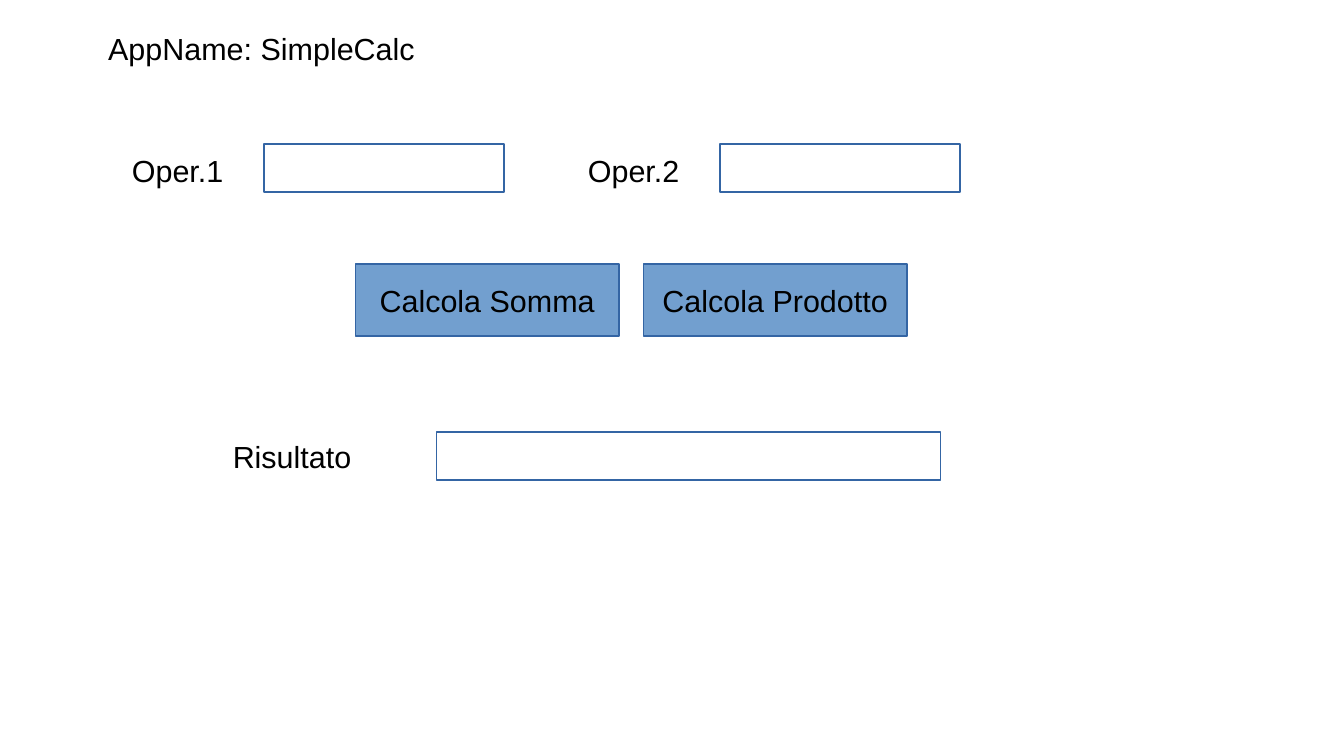
from pptx import Presentation
from pptx import util as u
from pptx.dml.color import RGBColor
from pptx.enum import shapes, text

# Content: lengths in cm
TITLE = "AppName: SimpleCalc"
OPERANDS = ["Oper.1", "Oper.2"]
BUTTONS = ["Calcola Somma", "Calcola Prodotto"]
RESULT = "Risultato"

OPERAND_LEFT, OPERAND_STEP, OPERAND_TOP = 2.5, 9.5, 3
BUTTON_LEFT, BUTTON_STEP, BUTTON_TOP = 7.4, 6, 5.5
RESULT_TOP = 9
FIELD_HEIGHT = 1
BLACK, WHITE, BLUE, OUTLINE = "000000", "FFFFFF", "729FCF", "3465A4"


def color(value):
    return RGBColor.from_string(value)


def write(s, words, size=18, font="Arial", ink=BLACK, wrap=True,
          align=text.PP_ALIGN.LEFT, anchor=text.MSO_ANCHOR.TOP):
    tf = s.text_frame
    tf.word_wrap = wrap
    tf.vertical_anchor = anchor
    tf.auto_size = text.MSO_AUTO_SIZE.NONE
    p = tf.paragraphs[0]
    p.alignment = align
    r = p.add_run()
    r.text = words
    r.font.size = u.Pt(size)
    r.font.name = font
    r.font.color.rgb = color(ink)


def add_label(slide, words, *box):
    write(slide.shapes.add_textbox(*map(u.Cm, box)), words)


def add_box(slide, fill, *box):
    s = slide.shapes.add_shape(shapes.MSO_SHAPE.RECTANGLE, *map(u.Cm, box))
    s.shadow.inherit = False
    s.fill.solid()
    s.fill.fore_color.rgb = color(fill)
    s.line.color.rgb = color(OUTLINE)
    s.line.width = u.Pt(0)
    return s


def main():
    prs = Presentation()
    prs.slide_width, prs.slide_height = u.Cm(28), u.Cm(15.75)
    slide = prs.slides.add_slide(prs.slide_layouts[5])

    # Title
    title = slide.shapes.title
    title.left, title.top, title.width, title.height = map(u.Cm, (2, 0.5, 9, 0.97))
    write(title, TITLE)

    # Operand labels and input fields
    for i, name in enumerate(OPERANDS):
        left = OPERAND_LEFT + i * OPERAND_STEP
        add_label(slide, name, left, OPERAND_TOP + 0.05, 2.57, 1.67)
        add_box(slide, WHITE, left + 3, OPERAND_TOP, 5, FIELD_HEIGHT)

    # Buttons
    for i, name in enumerate(BUTTONS):
        button = add_box(slide, BLUE, BUTTON_LEFT + i * BUTTON_STEP, BUTTON_TOP, 5.5, 1.5)
        write(button, name, wrap=False, align=text.PP_ALIGN.CENTER,
              anchor=text.MSO_ANCHOR.MIDDLE)

    # Result label and field
    add_label(slide, RESULT, 4.6, RESULT_TOP, 3.5, FIELD_HEIGHT)
    add_box(slide, WHITE, 9.1, RESULT_TOP, 10.5, FIELD_HEIGHT)

    prs.save("out.pptx")


if __name__ == "__main__":
    main()
